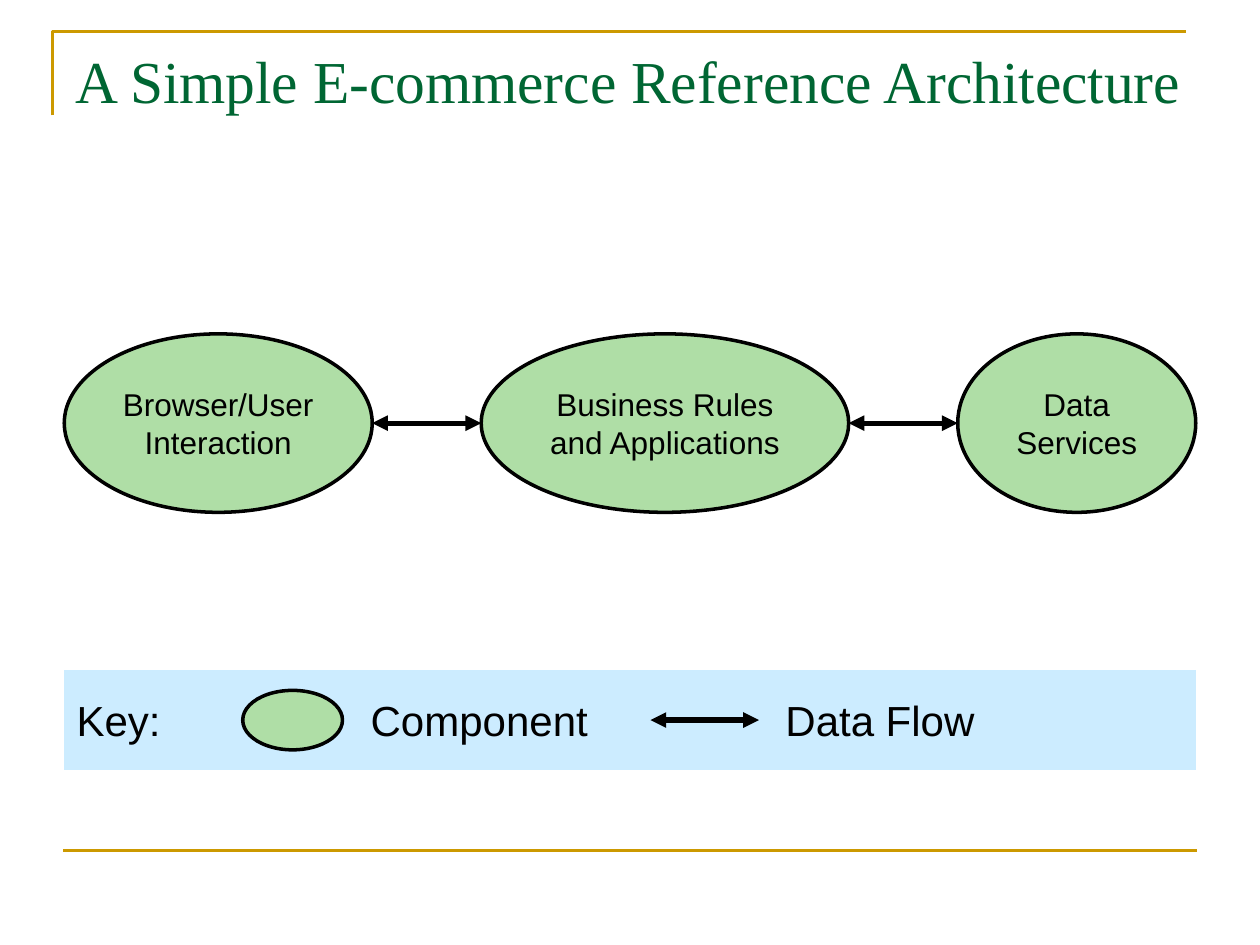
import pptx
import pptx.dml.color
import pptx.enum.shapes
import pptx.enum.text
import pptx.oxml
import pptx.oxml.ns
import pptx.util
from pptx.util import Pt

COLORS = {
    "rule": "CC9900",
    "title": "006633",
    "component": "AFDEA6",
    "key": "CCECFF",
    "ink": "000000",
}
SHAPES = pptx.enum.shapes.MSO_SHAPE
ANCHOR = pptx.enum.text.MSO_ANCHOR
ALIGN = pptx.enum.text.PP_ALIGN


def color(name):
    return pptx.dml.color.RGBColor.from_string(COLORS[name])


def set_line(shape, name, width):
    shape.line.color.rgb = color(name)
    shape.line.width = Pt(width)


def set_font(paragraph, font_name, size, color_name):
    paragraph.font.name = font_name
    paragraph.font.size = Pt(size)
    paragraph.font.color.rgb = color(color_name)


def add_element(parent, tag, **attributes):
    element = pptx.oxml.parse_xml(f"<a:{tag} {pptx.oxml.ns.nsdecls('a')}/>")
    for name, value in attributes.items():
        element.set(name, str(value))
    parent.append(element)
    return element


def add_straight_line(slide, left, top, right, color_name, width):
    line = slide.shapes.add_connector(
        pptx.enum.shapes.MSO_CONNECTOR.STRAIGHT, Pt(left), Pt(top), Pt(right), Pt(top))
    set_line(line, color_name, width)
    add_element(line._element.spPr, "effectLst")
    return line


def add_data_flow(slide, left, top, right):
    arrow = add_straight_line(slide, left, top, right, "ink", 3)
    for end in ("headEnd", "tailEnd"):
        add_element(arrow.line._get_or_add_ln(), end, type="triangle")


def add_filled_shape(slide, kind, left, top, width, height, fill):
    shape = slide.shapes.add_shape(kind, Pt(left), Pt(top), Pt(width), Pt(height))
    shape.shadow.inherit = False
    shape.fill.solid()
    shape.fill.fore_color.rgb = color(fill)
    shape.text_frame.vertical_anchor = ANCHOR.MIDDLE
    return shape


def add_component(slide, left, top, width, height, lines=()):
    ellipse = add_filled_shape(slide, SHAPES.OVAL, left, top, width, height, "component")
    set_line(ellipse, "ink", 2)
    if lines:
        ellipse.text_frame.text = "\n".join(lines)
        for paragraph in ellipse.text_frame.paragraphs:
            paragraph.alignment = ALIGN.CENTER
            set_font(paragraph, "Arial", 18, "ink")


def add_frame(slide, left, top, width):
    """Corner bracket above the title and rule at the foot of the slide."""
    builder = slide.shapes.build_freeform(Pt(left), Pt(top + 48))
    builder.add_line_segments(
        [(Pt(left), Pt(top)), (Pt(left + width), Pt(top))], close=False)
    bracket = builder.convert_to_shape()
    bracket.shadow.inherit = False
    bracket.fill.background()
    set_line(bracket, "rule", 1.5)
    add_straight_line(slide, left + 6, top + 468, left + 6 + width, "rule", 1.5)


def place_title(slide, left, top, width, height):
    title = slide.shapes.title
    title.left, title.top, title.width, title.height = map(Pt, (left, top, width, height))
    frame = title.text_frame
    frame.text = "A Simple E-commerce Reference Architecture"
    frame.auto_size = pptx.enum.text.MSO_AUTO_SIZE.NONE
    frame.vertical_anchor = ANCHOR.TOP
    paragraph = frame.paragraphs[0]
    paragraph.alignment = ALIGN.LEFT
    set_font(paragraph, "Times New Roman", 34, "title")


def add_architecture(slide, left, top, width, height):
    """Row of components with equal gaps, each gap bridged by a data flow."""
    components = [
        (176, ("Browser/User", "Interaction")),
        (210, ("Business Rules", "and Applications")),
        (136, ("Data", "Services")),
    ]
    gap = (width - sum(size for size, _ in components)) / (len(components) - 1)
    for index, (size, lines) in enumerate(components):
        if index:
            add_data_flow(slide, left - gap, top + height / 2, left)
        add_component(slide, left, top, size, height, lines)
        left += size + gap


def add_key(slide, left, top, width, height):
    panel = add_filled_shape(slide, SHAPES.RECTANGLE, left, top, width, height, "key")
    panel.line.fill.background()
    paragraph = panel.text_frame.paragraphs[0]
    paragraph.text = "Key:\tComponent\tData Flow"
    paragraph.alignment = ALIGN.LEFT
    tabs = add_element(paragraph._p.get_or_add_pPr(), "tabLst")
    for position in (168, 405):
        add_element(tabs, "tab", pos=Pt(position), algn="l")
    set_font(paragraph, "Arial", 24, "ink")
    add_component(slide, left + 102, top + (height - 34) / 2, 57, 34)
    add_data_flow(slide, left + 335, top + height / 2, left + 397)


def main():
    presentation = pptx.Presentation()
    presentation.slide_width, presentation.slide_height = Pt(720), Pt(540)
    slide = presentation.slides.add_slide(presentation.slide_layouts[5])
    add_frame(slide, 30, 18, 648)
    place_title(slide, 36, 21.6, 648, 90)
    add_architecture(slide, 36.7, 190.8, 646.6, 102)
    add_key(slide, 36.7, 383, 646.6, 57)
    presentation.save("out.pptx")


if __name__ == "__main__":
    main()
